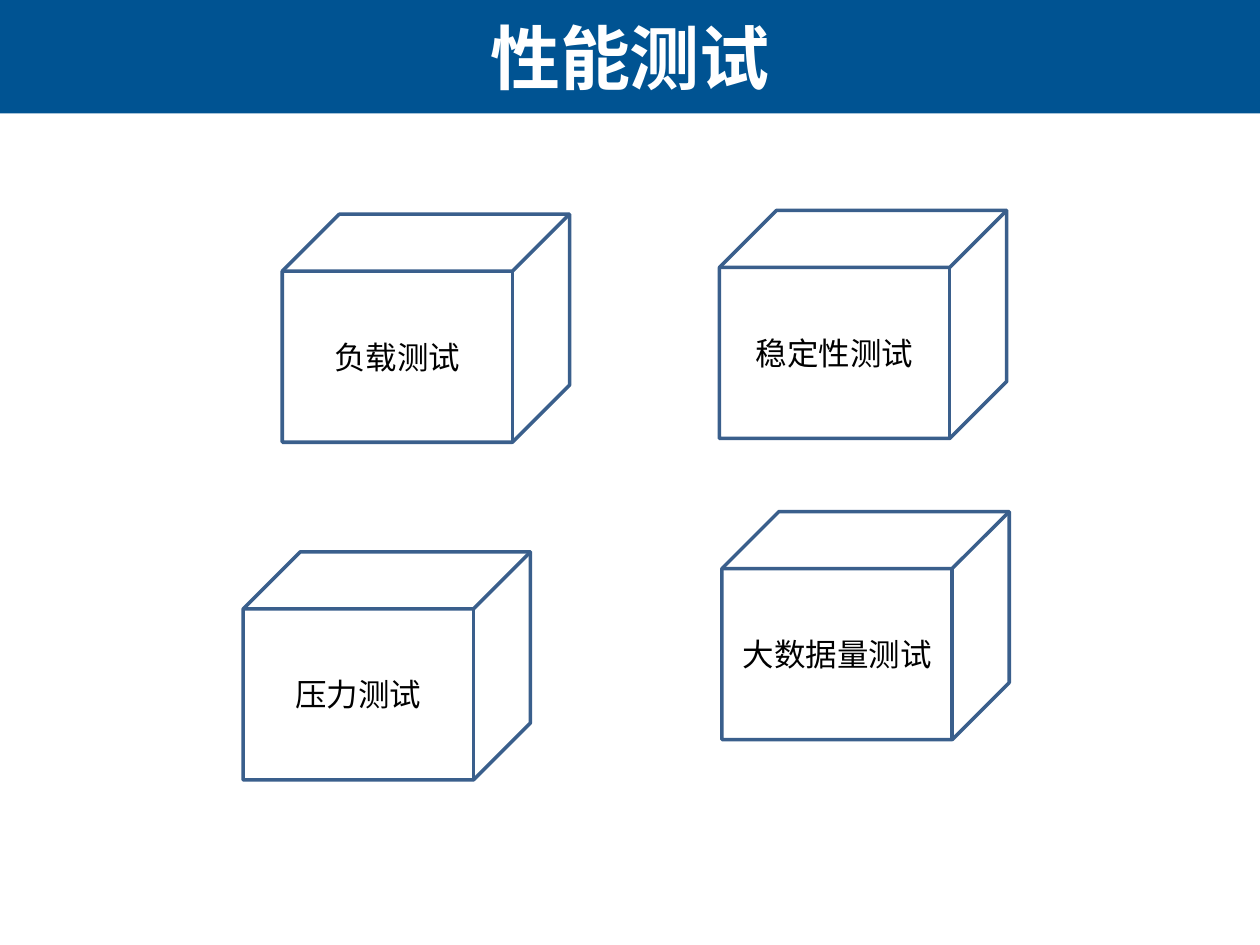
from pptx import Presentation
from pptx.dml.color import RGBColor
from pptx.enum.shapes import MSO_SHAPE as Preset
from pptx.enum.text import MSO_ANCHOR as Anchor, PP_ALIGN as Align
from pptx.util import Inches, Pt

BANNER_BLUE = RGBColor(0x00, 0x53, 0x92)
EDGE_BLUE = RGBColor(0x3A, 0x5F, 0x8C)
WHITE = RGBColor(0xFF, 0xFF, 0xFF)
BLACK = RGBColor(0x00, 0x00, 0x00)

TITLE_FONT = {"name": "Arial", "size": Pt(40), "bold": True}
LABEL_FONT = {"name": "Calibri", "size": Pt(18), "bold": False}

deck = Presentation()
deck.slide_width, deck.slide_height = Inches(10), Inches(7.5)
slide = deck.slides.add_slide(deck.slide_layouts[6])
column = deck.slide_width / 100
row = deck.slide_height / 75


def place(left, top, width, height):
    return [int(n) for n in (left * column, top * row, width * column, height * row)]


def write(holder, wording, font_format, color):
    frame = holder.text_frame
    frame.word_wrap = True
    frame.vertical_anchor = Anchor.MIDDLE
    line = frame.paragraphs[0]
    line.alignment = Align.CENTER
    run = line.add_run()
    run.text = wording
    for attribute, value in font_format.items():
        setattr(run.font, attribute, value)
    run.font.color.rgb = color


banner = slide.shapes.add_shape(Preset.RECTANGLE, *place(0, 0, 100, 9))
banner.shadow.inherit = False
banner.fill.solid()
banner.fill.fore_color.rgb = BANNER_BLUE
banner.line.fill.background()

title = slide.shapes.add_textbox(*place(0, 0, 100, 9))
write(title, "性能测试", TITLE_FONT, WHITE)

test_types = [
    ("负载测试", 22.4, 17),
    ("压力测试", 19.3, 43.8),
    ("稳定性测试", 57.1, 16.7),
    ("大数据量测试", 57.3, 40.6),
]
for test_type, left, top in test_types:
    cube = slide.shapes.add_shape(Preset.CUBE, *place(left, top, 22.8, 18.1))
    cube.shadow.inherit = False
    cube.fill.background()
    cube.line.color.rgb = EDGE_BLUE
    cube.line.width = Pt(2)
    write(cube, test_type, LABEL_FONT, BLACK)

deck.save("out.pptx")
